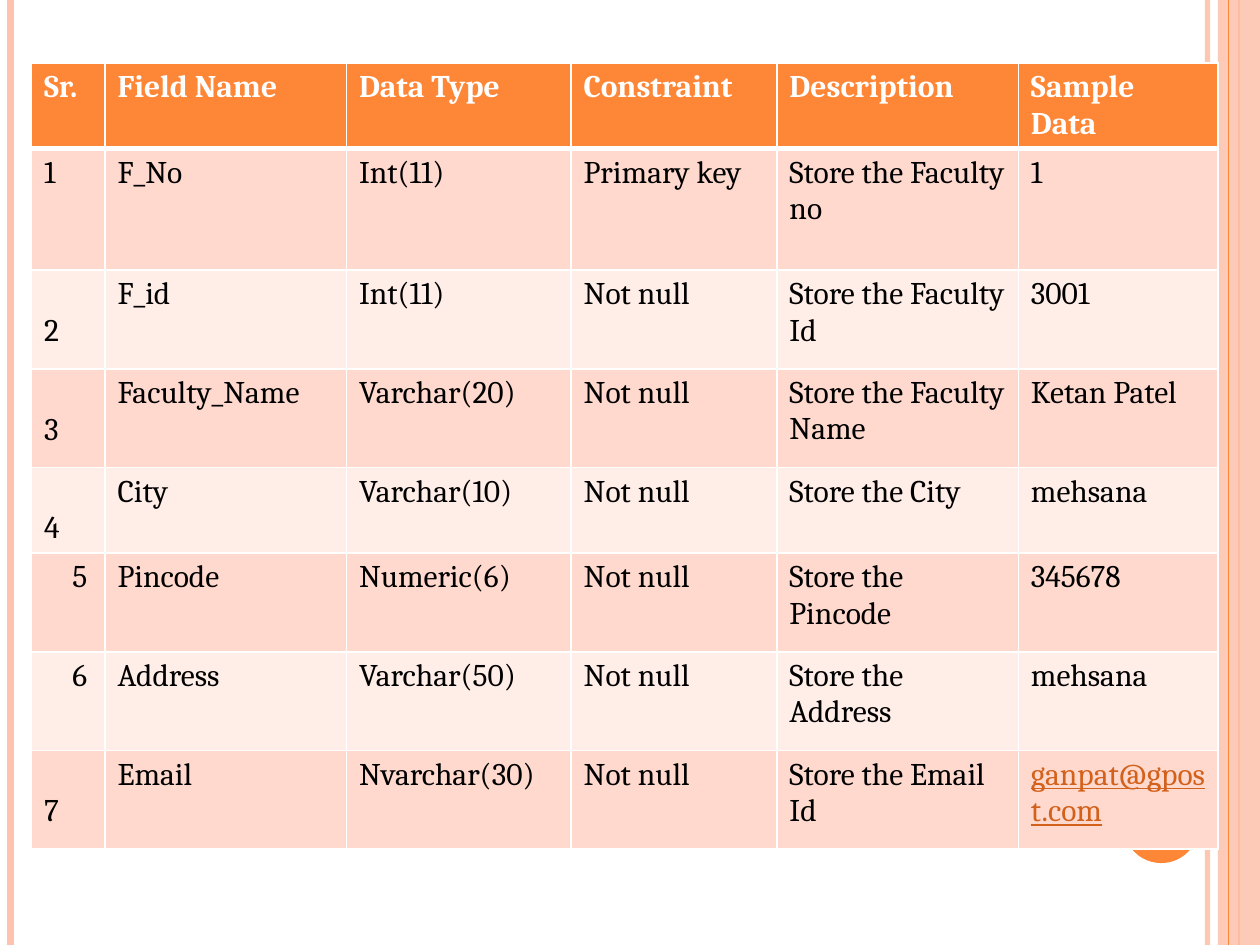
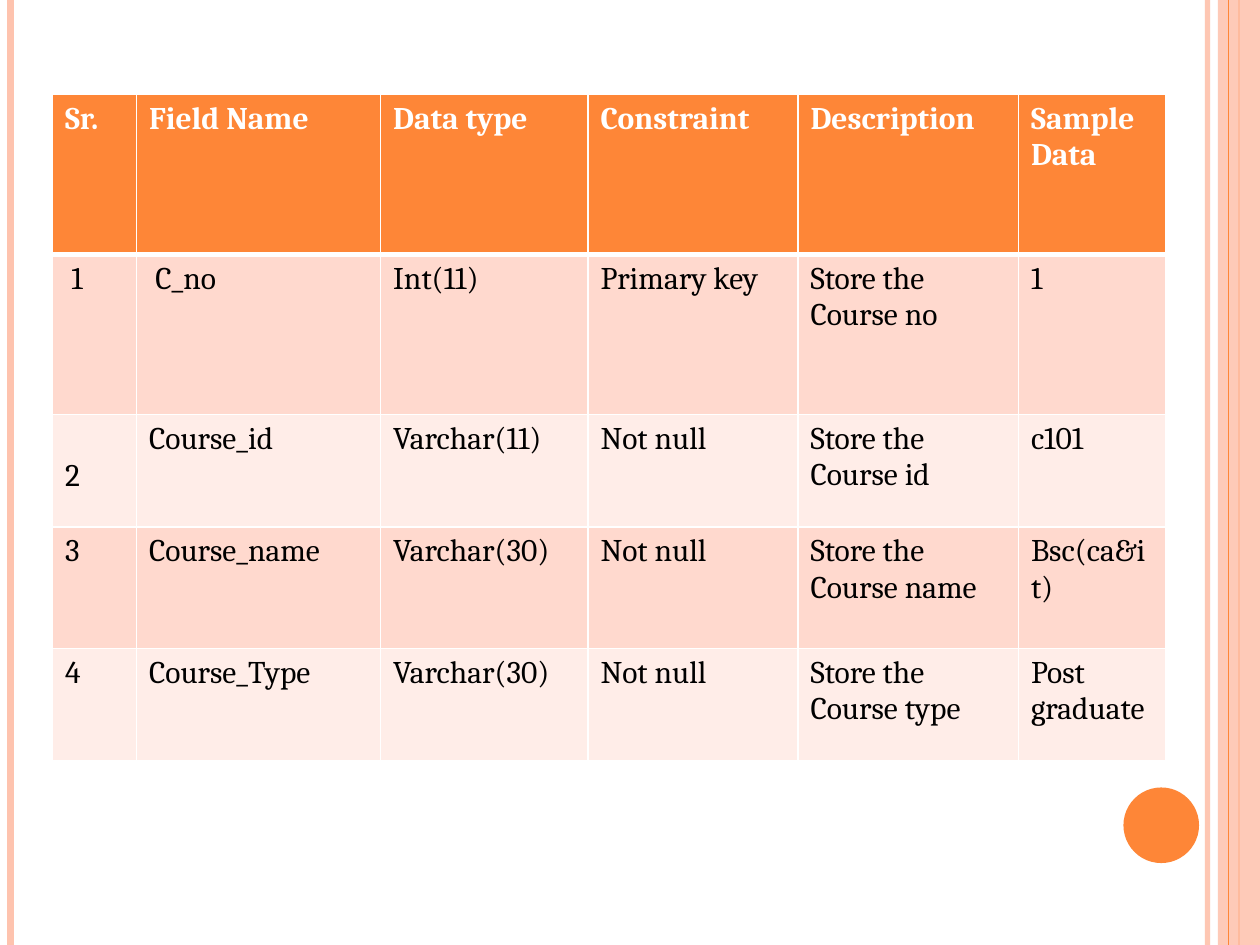
from dataclasses import dataclass, field

from lxml import etree
from pptx import Presentation
from pptx import util as u
from pptx.dml.color import RGBColor
from pptx.enum import shapes
from pptx.oxml.ns import qn

# The slide is a grid of 120 columns by 90 rows of square units.
COLUMNS, ROWS = 120, 90
SLIDE_WIDTH, SLIDE_HEIGHT = u.Inches(10), u.Inches(7.5)

FONT, FONT_SIZE = "Cambria", 18
ORANGE, PEACH = "FE8637", "FEC3AE"
ROW_TINTS = ("FFD9CE", "FFEDE8")
WHITE, BLACK, LINK = "FFFFFF", "000000", "D2611C"

CELL_MARGIN_X, CELL_MARGIN_Y = 1.2, 0.6
LINE_HEIGHT = 3.5
THIN, THICK = 1, 3


@dataclass(frozen=True)
class Stripe:
    column: float
    color: str
    weight: float
    opacity: int = 100


@dataclass(frozen=True)
class Nudge:
    """Extra inset of a cell's text, in grid units."""
    right: float = 0
    down: float = 0


@dataclass(frozen=True)
class FieldTable:
    left: float
    top: float
    widths: list[float]
    heights: list[float]
    header: list[str]
    records: list[list[str]]
    nudges: dict[tuple[int, int], Nudge] = field(default_factory=dict)
    links: frozenset[tuple[int, int]] = frozenset()


STRIPES_BELOW_BAND = [
    Stripe(115, PEACH, 3, 93),
    Stripe(1, PEACH, 4.5),
    Stripe(118, ORANGE, 1.5),
]
STRIPE_ABOVE_BAND = Stripe(117, ORANGE, 0.75)

NEXT_LINE = Nudge(down=LINE_HEIGHT)
INDENTED = Nudge(right=2.7)
ONE_SPACE = Nudge(right=0.6)

FACULTY = FieldTable(
    left=3, top=6,
    widths=[7, 23, 21.4, 19.6, 23, 19],
    heights=[8.1, 11.6, 9.4, 9.4, 8.1, 9.4, 9.4, 9.4],
    header=["Sr.", "Field Name", "Data Type", "Constraint", "Description", "Sample Data"],
    records=[
        ["1", "F_No", "Int(11)", "Primary key", "Store the Faculty no", "1"],
        ["2", "F_id", "Int(11)", "Not null", "Store the Faculty Id", "3001"],
        ["3", "Faculty_Name", "Varchar(20)", "Not null", "Store the Faculty Name", "Ketan Patel"],
        ["4", "City", "Varchar(10)", "Not null", "Store the City", "mehsana"],
        ["5", "Pincode", "Numeric(6)", "Not null", "Store the Pincode", "345678"],
        ["6", "Address", "Varchar(50)", "Not null", "Store the Address", "mehsana"],
        ["7", "Email", "Nvarchar(30)", "Not null", "Store the Email Id", "ganpat@gpost.com"],
    ],
    nudges={
        **{(row, 0): NEXT_LINE for row in (2, 3, 4, 7)},
        **{(row, 0): INDENTED for row in (5, 6)},
    },
    links=frozenset({(7, 5)}),
)

COURSE = FieldTable(
    left=5, top=9,
    widths=[8, 23.25, 19.75, 20, 21, 14],
    heights=[15.25, 15.25, 10.7, 11.6, 10.7],
    header=["Sr.", "Field Name", "Data type", "Constraint", "Description", "Sample Data"],
    records=[
        ["1", "C_no", "Int(11)", "Primary key", "Store the Course no", "1"],
        ["2", "Course_id", "Varchar(11)", "Not null", "Store the Course id", "c101"],
        ["3", "Course_name", "Varchar(30)", "Not null", "Store the Course name", "Bsc(ca&it)"],
        ["4", "Course_Type", "Varchar(30)", "Not null", "Store the Course type", "Post graduate"],
    ],
    nudges={(1, 0): ONE_SPACE, (1, 1): ONE_SPACE, (2, 0): NEXT_LINE},
)


def across(columns: float) -> u.Emu:
    return u.Emu(round(SLIDE_WIDTH * columns / COLUMNS))


def down(rows: float) -> u.Emu:
    return u.Emu(round(SLIDE_HEIGHT * rows / ROWS))


def rgb(color: str) -> RGBColor:
    return RGBColor.from_string(color)


def set_opacity(element, percent: int) -> None:
    if percent < 100:
        color = next(element.iter(qn("a:srgbClr")))
        etree.SubElement(color, qn("a:alpha"), val=str(percent * 1000))


def draw_stripe(slide, stripe: Stripe) -> None:
    x = across(stripe.column)
    line = slide.shapes.add_connector(shapes.MSO_CONNECTOR.STRAIGHT, x, 0, x, SLIDE_HEIGHT)
    line.line.color.rgb = rgb(stripe.color)
    line.line.width = u.Pt(stripe.weight)
    properties = line._element.spPr
    set_opacity(properties, stripe.opacity)
    etree.SubElement(properties, qn("a:effectLst"))


def draw_shape(slide, preset, left: float, top: float, width: float, height: float,
               color: str, opacity: int = 100) -> None:
    shape = slide.shapes.add_shape(preset, across(left), down(top), across(width), down(height))
    shape.shadow.inherit = False
    shape.fill.solid()
    shape.fill.fore_color.rgb = rgb(color)
    shape.line.fill.background()
    set_opacity(shape._element.spPr, opacity)


def draw_frame(slide) -> None:
    """Draw the edge stripes, right band and disc found on every slide."""
    for stripe in STRIPES_BELOW_BAND:
        draw_stripe(slide, stripe)
    draw_shape(slide, shapes.MSO_SHAPE.RECTANGLE, 116, 0, 4, ROWS, PEACH, 87)
    draw_stripe(slide, STRIPE_ABOVE_BAND)
    draw_shape(slide, shapes.MSO_SHAPE.OVAL, 107, 75, 7.2, 7.2, ORANGE)


def set_borders(cell, top: float, bottom: float) -> None:
    properties = cell._tc.get_or_add_tcPr()
    weights = {"a:lnL": THIN, "a:lnR": THIN, "a:lnT": top, "a:lnB": bottom}
    for position, (tag, weight) in enumerate(weights.items()):
        border = etree.Element(qn(tag), w=str(u.Pt(weight)))
        fill = etree.SubElement(border, qn("a:solidFill"))
        etree.SubElement(fill, qn("a:srgbClr"), val=WHITE)
        properties.insert(position, border)


def write_cell(cell, words: str, row: int, nudge: Nudge, is_link: bool) -> None:
    is_header = row == 0
    cell.fill.solid()
    cell.fill.fore_color.rgb = rgb(ORANGE if is_header else ROW_TINTS[(row - 1) % 2])
    cell.margin_left = across(CELL_MARGIN_X + nudge.right)
    cell.margin_right = across(CELL_MARGIN_X)
    cell.margin_top = down(CELL_MARGIN_Y + nudge.down)
    cell.margin_bottom = down(CELL_MARGIN_Y)
    set_borders(cell, THICK if row == 1 else THIN, THICK if is_header else THIN)

    run = cell.text_frame.paragraphs[0].add_run()
    run.text = words
    run.font.name = FONT
    run.font.size = u.Pt(FONT_SIZE)
    run.font.bold = is_header
    run.font.underline = is_link
    run.font.color.rgb = rgb(WHITE if is_header else LINK if is_link else BLACK)


def draw_table(slide, content: FieldTable) -> None:
    table = slide.shapes.add_table(
        len(content.heights), len(content.widths),
        across(content.left), down(content.top),
        across(sum(content.widths)), down(sum(content.heights)),
    ).table
    for column, width in zip(table.columns, content.widths):
        column.width = across(width)
    for row, height in zip(table.rows, content.heights):
        row.height = down(height)
    for r, record in enumerate([content.header, *content.records]):
        for c, words in enumerate(record):
            nudge = content.nudges.get((r, c), Nudge())
            write_cell(table.cell(r, c), words, r, nudge, (r, c) in content.links)


def main() -> None:
    deck = Presentation()
    deck.slide_width, deck.slide_height = SLIDE_WIDTH, SLIDE_HEIGHT
    blank = deck.slide_layouts[6]
    for content in (FACULTY, COURSE):
        slide = deck.slides.add_slide(blank)
        draw_frame(slide)
        draw_table(slide, content)
    deck.save("out.pptx")


if __name__ == "__main__":
    main()
